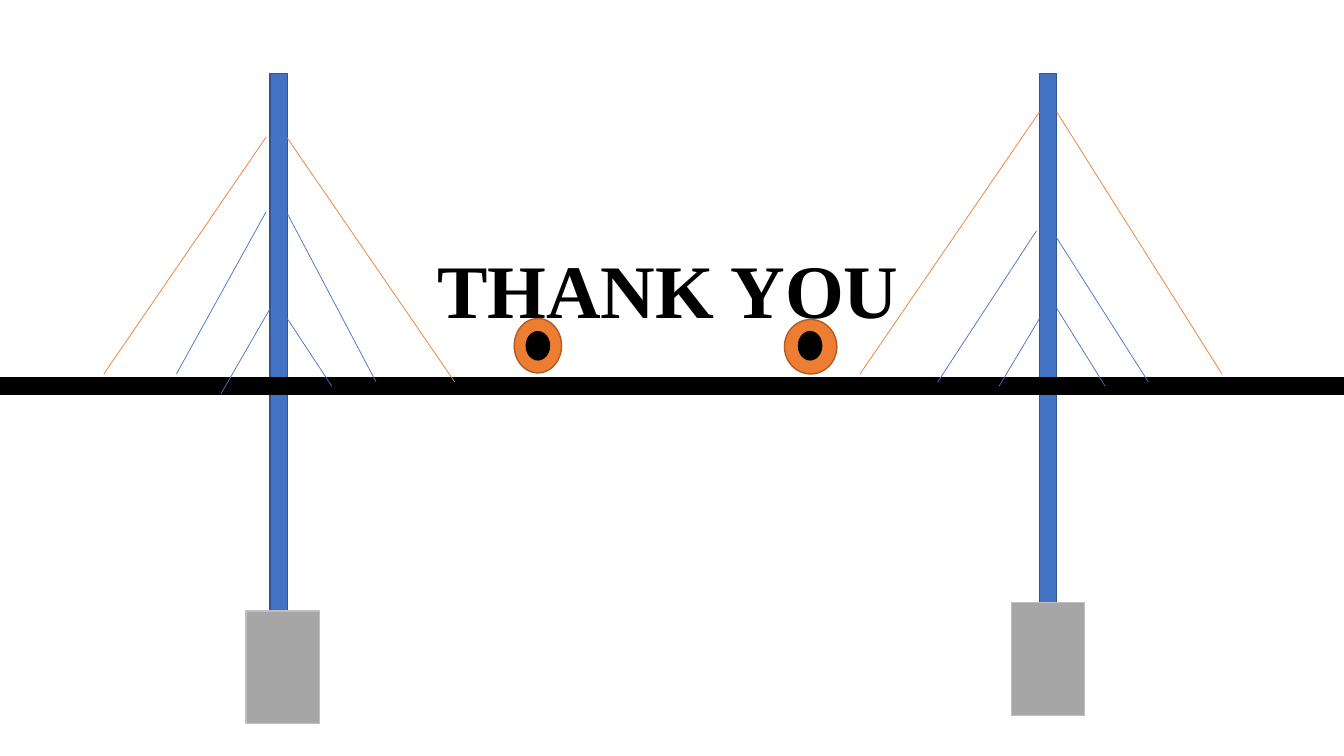
import pptx
import pptx.dml.color
import pptx.enum.shapes
import pptx.enum.text
import pptx.util
from pptx.util import Inches

BLUE, ORANGE, BLACK = "4472C4", "ED7D31", "000000"
RECTANGLE = pptx.enum.shapes.MSO_SHAPE.RECTANGLE
OVAL = pptx.enum.shapes.MSO_SHAPE.OVAL


def color(hex_code):
    return pptx.dml.color.RGBColor.from_string(hex_code)


def write(frame, text, font="Times New Roman", size=54, bold=False, fill=BLACK):
    paragraph = frame.paragraphs[0]
    paragraph.alignment = pptx.enum.text.PP_ALIGN.CENTER
    run = paragraph.add_run()
    run.text = text
    run.font.name = font
    run.font.size = pptx.util.Pt(size)
    run.font.bold = bold
    run.font.color.rgb = color(fill)


class BridgeSlide:
    outline_width = pptx.util.Pt(1)
    cable_width = pptx.util.Pt(0.5)

    def __init__(self, slide):
        self.shapes = slide.shapes

    def block(self, preset, left, top, width, height, fill, outline):
        shape = self.shapes.add_shape(
            preset, Inches(left), Inches(top), Inches(width), Inches(height))
        shape.shadow.inherit = False
        shape.fill.solid()
        shape.fill.fore_color.rgb = color(fill)
        shape.line.color.rgb = color(outline)
        shape.line.width = self.outline_width

    def cable(self, x1, y1, x2, y2, stroke):
        line = self.shapes.add_connector(
            pptx.enum.shapes.MSO_CONNECTOR.STRAIGHT,
            Inches(x1), Inches(y1), Inches(x2), Inches(y2))
        line.line.color.rgb = color(stroke)
        line.line.width = self.cable_width
        properties = line._element.spPr
        properties.append(properties.makeelement(pptx.oxml.ns.qn("a:effectLst"), {}))

    def caption(self, left, top, width, height, text, **style):
        box = self.shapes.add_textbox(
            Inches(left), Inches(top), Inches(width), Inches(height))
        box.text_frame.word_wrap = True
        box.text_frame.margin_top = Inches(0.13)
        write(box.text_frame, text, **style)


def main():
    deck = pptx.Presentation()
    deck.slide_width = Inches(13.33)
    deck.slide_height = Inches(7.5)
    bridge = BridgeSlide(deck.slides.add_slide(deck.slide_layouts[6]))

    for left, height in ((10.31, 5.89), (2.68, 5.81)):
        bridge.block(RECTANGLE, left, 0.73, 0.17, height, BLUE, "325491")
    bridge.block(RECTANGLE, 0, 3.75, 13.33, 0.16, BLACK, BLACK)
    bridge.caption(4.07, 2.28, 5.11, 1.75, "THANK YOU", bold=True)

    for left, top, width in ((5.1, 3.16, 0.47), (7.78, 3.17, 0.52)):
        bridge.block(OVAL, left, top, width, 0.54, ORANGE, "AF5C24")
    for left in (5.22, 7.92):
        bridge.block(OVAL, left, 3.29, 0.23, 0.28, BLACK, BLACK)

    cables = {
        ORANGE: (
            (2.85, 1.37, 4.51, 3.79),
            (2.64, 1.36, 1.03, 3.71),
            (10.31, 1.11, 8.53, 3.71),
            (10.48, 1.11, 12.12, 3.71),
        ),
        BLUE: (
            (10.28, 2.29, 9.3, 3.79),
            (10.36, 2.17, 11.39, 3.79),
            (2.64, 2.1, 1.75, 3.71),
            (2.85, 2.12, 3.73, 3.79),
            (10.31, 3.16, 9.91, 3.83),
            (10.47, 3.04, 10.96, 3.83),
            (2.77, 3.04, 3.29, 3.83),
            (2.68, 3.06, 2.19, 3.91),
        ),
    }
    for stroke, spans in cables.items():
        for span in spans:
            bridge.cable(*span, stroke)

    for left, top in ((2.44, 6.06), (10.03, 5.98)):
        bridge.block(RECTANGLE, left, top, 0.73, 1.12, "A6A6A6", "BFBFBF")

    deck.save("out.pptx")


if __name__ == "__main__":
    main()
